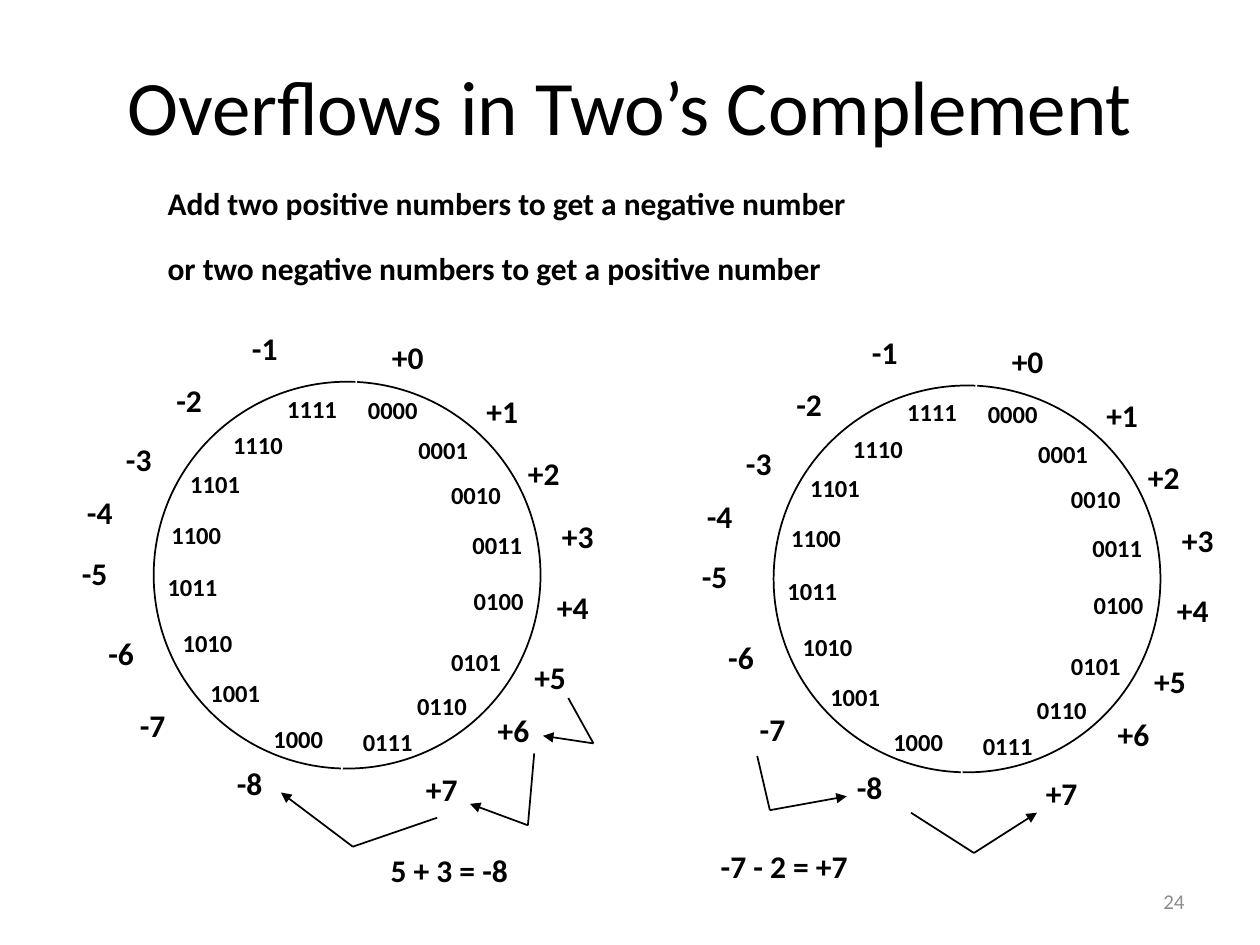
from lxml import etree
from pptx import Presentation, util as u
from pptx.dml.color import RGBColor
from pptx.enum import shapes, text
from pptx.oxml.ns import qn

COLS, ROWS = 1000, 750
CELL = u.Inches(0.01)
BLACK, WHITE, GREY = "000000", "FFFFFF", "8C8C8C"

# Column and row of each code and of its label, clockwise from 0000
SPOTS = [
    (285, 313, 304, 270), (325, 345, 379, 313),
    (351, 381, 412, 362), (368, 420, 439, 412),
    (369, 465, 435, 468), (351, 513, 417, 524),
    (324, 548, 388, 566), (281, 577, 331, 613),
    (210, 574, 181, 608), (160, 538, 104, 562),
    (138, 498, 79, 505), (126, 454, 58, 441),
    (129, 412, 62, 393), (144, 372, 93, 351),
    (178, 341, 133, 304), (221, 312, 193, 263),
]

# Start, bend and tip of each counting step
STEPS = [
    [(451, 554), (471, 590), (431, 584)],
    [(424, 598), (419, 655), (373, 638)],
    [(347, 649), (280, 672), (223, 629)],
    [(601, 600), (611, 643), (672, 632)],
    [(723, 645), (773, 677), (823, 645)],
]


def grid(*cells):
    return [CELL * cell for cell in cells]


def paint(target, color):
    target.rgb = RGBColor.from_string(color)


def add_text(slide, area, lines, size, color=BLACK, bold=False,
             align=text.PP_ALIGN.LEFT, anchor=text.MSO_ANCHOR.TOP,
             inset=(10, 5), wrap=False, pitch=None, gap=0):
    """Add a box with one paragraph per line; gap is in points."""
    frame = slide.shapes.add_textbox(*grid(*area)).text_frame
    frame.word_wrap = wrap
    frame.vertical_anchor = anchor
    frame.margin_left = frame.margin_right = CELL * inset[0]
    frame.margin_top = frame.margin_bottom = CELL * inset[1]
    if not wrap:
        frame.auto_size = text.MSO_AUTO_SIZE.SHAPE_TO_FIT_TEXT
    for i, line in enumerate(lines):
        para = frame.add_paragraph() if i else frame.paragraphs[0]
        para.text = line
        para.alignment = align
        if pitch:
            para.line_spacing = pitch
        if i and gap:
            para.space_before = u.Pt(gap)
        font = para.font
        font.name, font.size, font.bold = "Calibri", u.Pt(size), bold
        paint(font.color, color)


def add_note(slide, area, *lines, size=18, pitch=0.85):
    """Add bold text that keeps its lines unbroken."""
    add_text(slide, area, lines, size, bold=True, inset=(7, 3),
             pitch=pitch, gap=18.7)


def add_line(slide, start, end, color=BLACK, arrow=False):
    line = slide.shapes.add_connector(
        shapes.MSO_CONNECTOR.STRAIGHT, *grid(*start, *end))
    line.line.width = u.Pt(1)
    paint(line.line.color, color)
    props = line._element.spPr
    if arrow:
        etree.SubElement(props.find(qn("a:ln")), qn("a:tailEnd"),
                         type="triangle")
    etree.SubElement(props, qn("a:effectLst"))


def add_step(slide, start, bend, tip):
    add_line(slide, start, bend)
    add_line(slide, bend, tip, arrow=True)


def add_wheel(slide, right=0, down=0):
    """Add the number wheel, moved by some columns and rows."""
    ring = slide.shapes.add_shape(
        shapes.MSO_SHAPE.OVAL, *grid(122 + right, 303 + down, 307, 307))
    ring.shadow.inherit = False
    ring.fill.background()
    ring.line.width = u.Pt(1)
    paint(ring.line.color, BLACK)
    add_line(slide, (284 + right, 270 + down), (270 + right, 646 + down),
             WHITE)
    half = len(SPOTS) // 2
    for code, (x, y, col, row) in enumerate(SPOTS):
        value = code if code < half else code - len(SPOTS)
        add_note(slide, (x + right, y + down, 57, 27), f"{code:04b}",
                 size=14, pitch=0.9)
        add_note(slide, (col + right, row + down, 42 if value >= 0 else 36, 31),
                 f"{value:+d}")


def main():
    deck = Presentation()
    deck.slide_width, deck.slide_height = grid(COLS, ROWS)
    slide = deck.slides.add_slide(deck.slide_layouts[6])

    add_text(slide, (50, 0, 900, 125), ["Overflows in Two’s Complement"], 44,
             align=text.PP_ALIGN.CENTER, anchor=text.MSO_ANCHOR.BOTTOM,
             wrap=True)
    add_note(slide, (126, 148, 629, 82),
             "Add two positive numbers to get a negative number",
             "or two negative numbers to get a positive number")
    for step in STEPS:
        add_step(slide, *step)
    add_note(slide, (303, 677, 121, 31), "5 + 3 = -8")
    add_note(slide, (565, 674, 129, 31), "-7 - 2 = +7")
    add_wheel(slide)
    add_wheel(slide, right=492, down=3)
    add_text(slide, (717, 695, 233, 40), ["24"], 12, GREY,
             align=text.PP_ALIGN.RIGHT, anchor=text.MSO_ANCHOR.MIDDLE,
             wrap=True)
    deck.save("out.pptx")


if __name__ == "__main__":
    main()
